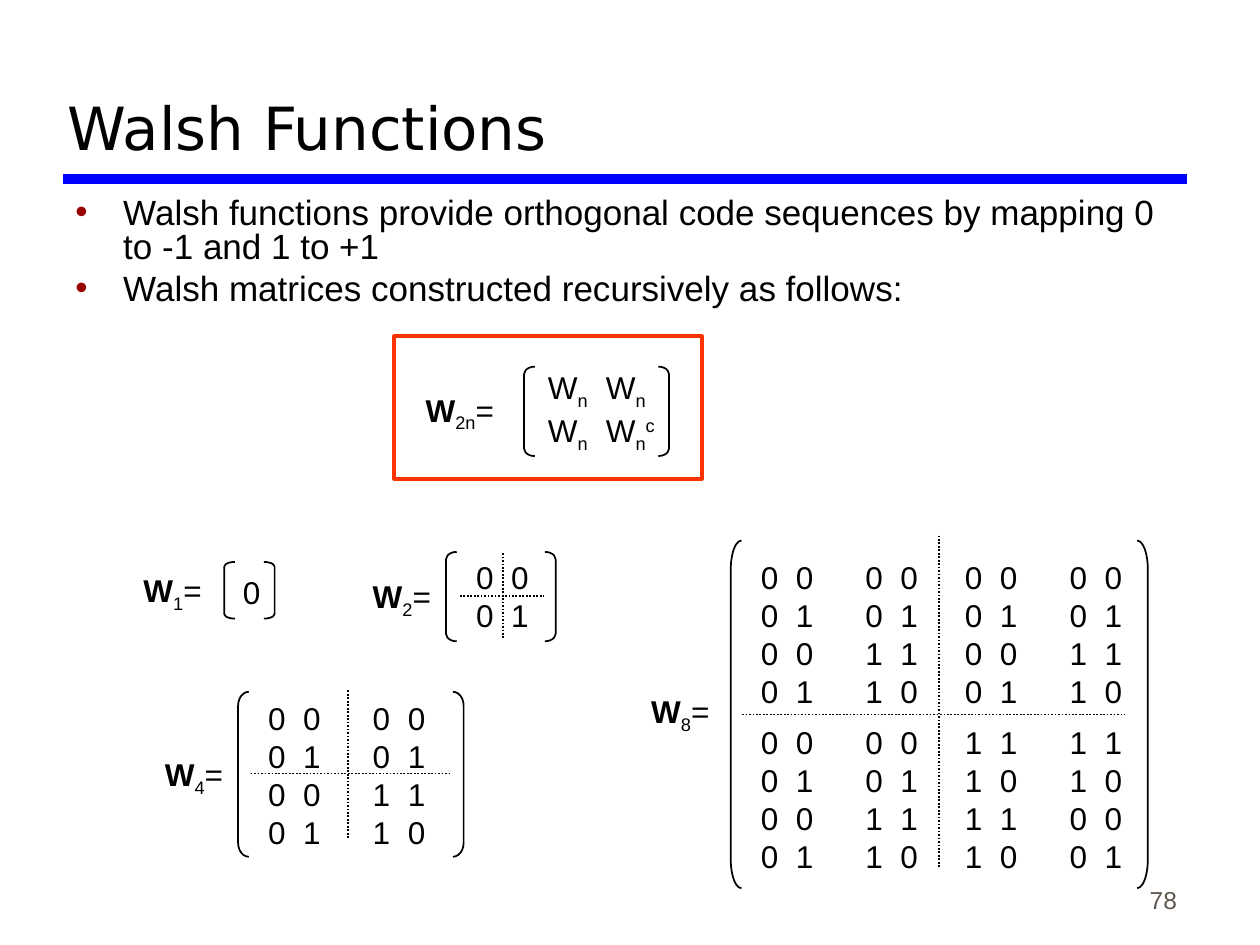
from dataclasses import dataclass
from typing import Any, NamedTuple

from lxml.etree import SubElement as Sub
from pptx import Presentation
from pptx.dml.color import RGBColor as RGB
from pptx.enum.dml import MSO_LINE as Dash
from pptx.enum.shapes import MSO_CONNECTOR as Conn, MSO_SHAPE as Kind
from pptx.enum.text import MSO_ANCHOR as Anchor, PP_ALIGN as Align
from pptx.oxml.ns import qn
from pptx.util import Inches, Pt


@dataclass(frozen=True)
class Theme:
    ink: str = "000000"
    rule: str = "0000FF"
    frame: str = "FF3300"
    dot: str = "990000"
    page: str = "5E574E"
    font: str = "Arial"
    head: str = "DejaVu Sans"
    title: int = 34
    body: int = 20
    math: int = 18
    foot: int = 14


class Box(NamedTuple):
    """Place on a grid of 100 columns by 75 rows."""
    x: float
    y: float
    w: float
    h: float


class Span(NamedTuple):
    text: str
    base: int = 0
    bold: bool = False


class Cross(NamedTuple):
    """Dotted lines that part a matrix into quarters."""
    x: float
    top: float
    end: float
    y: float
    left: float
    right: float


@dataclass(frozen=True)
class Matrix:
    size: int
    label: tuple[float, float]
    bracket: Box
    cells: tuple[float, float]
    cross: Cross | None = None


T = Theme()
Line = list[Span]
deck = Presentation()
deck.slide_width, deck.slide_height = Inches(10), Inches(7.5)
COL, ROW = deck.slide_width / 100, deck.slide_height / 75
slide = deck.slides.add_slide(deck.slide_layouts[6])
shapes = slide.shapes


def put(obj: Any, vals: dict[str, Any]) -> None:
    for key, val in vals.items():
        setattr(obj, key, val)


def emu(box: Box) -> tuple[int, ...]:
    return tuple(round(v * s) for v, s in zip(box, (COL, ROW, COL, ROW)))


def text(box: Box, lines: list[Line], size: int = T.math, font: str = T.font,
         color: str = T.ink, align: Align = Align.LEFT,
         anchor: Anchor = Anchor.MIDDLE, wrap: bool = True,
         tab: float = 0, bullet: bool = False) -> None:
    frame = shapes.add_textbox(*emu(box)).text_frame
    put(frame, {"word_wrap": wrap, "vertical_anchor": anchor})
    if tab:
        frame.margin_right = 0
    for i, line in enumerate(lines):
        para = frame.paragraphs[0] if i == 0 else frame.add_paragraph()
        para.alignment = align
        props = para._p.get_or_add_pPr()
        if bullet:
            put(para, {"line_spacing": 0.8, "space_before": Pt(5 if i else 0)})
            put_bullet(props)
        if tab:
            tabs = Sub(props, qn("a:tabLst"))
            Sub(tabs, qn("a:tab"), pos=str(round(tab * COL)), algn="l")
        for span in line:
            run = para.add_run()
            run.text = span.text
            put(run.font, {"size": Pt(size), "name": font, "bold": span.bold})
            run.font.color.rgb = RGB.from_string(color)
            if span.base:
                run._r.get_or_add_rPr().set("baseline", str(span.base * 1000))


def put_bullet(props: Any) -> None:
    indent = round(3.8 * COL)
    props.set("marL", str(indent))
    props.set("indent", str(-indent))
    Sub(Sub(props, qn("a:buClr")), qn("a:srgbClr"), val=T.dot)
    Sub(props, qn("a:buFont"), typeface=T.font)
    Sub(props, qn("a:buChar"), char="•")


def stroke(line: Any, color: str, width: float) -> None:
    line.color.rgb = RGB.from_string(color)
    line.width = Pt(width)


def rule(x: float, y: float, to_x: float, to_y: float, color: str = T.ink,
         width: float = 1, dash: Dash | None = Dash.ROUND_DOT) -> None:
    start, end = emu(Box(x, y, 0, 0)), emu(Box(to_x, to_y, 0, 0))
    link = shapes.add_connector(Conn.STRAIGHT, *start[:2], *end[:2])
    stroke(link.line, color, width)
    link.line.dash_style = dash
    Sub(link._element.spPr, qn("a:effectLst"))


def outline(kind: Kind, box: Box, color: str, width: float) -> Any:
    shape = shapes.add_shape(kind, *emu(box))
    shape.shadow.inherit = False
    shape.fill.background()
    stroke(shape.line, color, width)
    return shape


def brackets(box: Box, lip: float = 0.85) -> None:
    sides = ((Kind.LEFT_BRACKET, box.x),
             (Kind.RIGHT_BRACKET, box.x + box.w - lip))
    for kind, x in sides:
        shape = outline(kind, Box(x, box.y, lip, box.h), T.ink, 1)
        shape.adjustments[0] = box.h / lip / 12


def label(x: float, y: float, sub: str, w: float = 6.6) -> None:
    line = [Span("W", bold=True), Span(sub, -25), Span("=")]
    text(Box(x, y, w, 4.4), [line], align=Align.CENTER, wrap=False)


def walsh(n: int) -> list[list[int]]:
    if n == 1:
        return [[0]]
    half = walsh(n // 2)
    return [r + r for r in half] + [r + [1 - v for v in r] for r in half]


def shift(i: int, step: float, half: float) -> float:
    return i % 2 * step + i // 2 * half


def draw(m: Matrix) -> None:
    label(*m.label, str(m.size))
    brackets(m.bracket)
    grid, (x, y) = walsh(m.size), m.cells
    tall = 7 if m.size > 1 else 4
    # Digits go in blocks of two by two
    for r in range(0, m.size, 2):
        for c in range(0, m.size, 2):
            rows = [[Span("\t".join(map(str, row[c:c + 2])))]
                    for row in grid[r:r + 2]]
            text(Box(x + shift(c // 2, 8.3, 16.2),
                     y + shift(r // 2, 6.05, 13.1), 6.1, tall), rows, tab=2.78)
    if m.cross:
        k = m.cross
        rule(k.x, k.top, k.x, k.end)
        rule(k.left, k.y, k.right, k.y)


MATRICES = [
    Matrix(1, (10.4, 44.8), Box(17.8, 44.6, 4, 4.5), (18.3, 45)),
    Matrix(2, (28.6, 45.3), Box(35.4, 43.8, 8.7, 7.1), (36.8, 43.8),
           Cross(39.9, 43.9, 50.7, 47.3, 36.5, 43.2)),
    Matrix(4, (12.1, 59.4), Box(18.9, 54.9, 17.9, 13.1), (20.3, 55),
           Cross(27.6, 54.8, 66.6, 61.4, 19.9, 35.7)),
    Matrix(8, (50.7, 54.4), Box(58, 42.9, 33.1, 27.6), (59.4, 43.8),
           Cross(74.5, 42.5, 68.9, 56.7, 58.9, 89.3)),
]
POINTS = [
    "Walsh functions provide orthogonal code sequences by mapping 0 to -1 and 1 to +1",
    "Walsh matrices constructed recursively as follows:",
]


def main() -> None:
    # Heading, rule and page number
    rule(5, 14.2, 94.2, 14.2, T.rule, 6, None)
    text(Box(73.6, 68.1, 20.8, 5), [[Span("78")]], T.foot, color=T.page,
         align=Align.RIGHT, anchor=Anchor.BOTTOM)
    text(Box(4.4, 1.7, 89.7, 11.7), [[Span("Walsh Functions")]], T.title,
         T.head, anchor=Anchor.BOTTOM)
    # Bullets
    text(Box(5, 15.3, 89.4, 11), [[Span(p)] for p in POINTS], T.body,
         anchor=Anchor.TOP, bullet=True)
    # Worked matrices
    for m in MATRICES:
        draw(m)
    # Recursion rule
    label(32.8, 30.5, "2n", 7.4)
    brackets(Box(41.6, 29.1, 11.5, 7.1))
    pair = [Span("W"), Span("n", -25), Span("\tW"), Span("n", -25)]
    text(Box(42.5, 28.7, 13.2, 7.8), [pair, pair + [Span("c", 30)]], tab=4.6)
    outline(Kind.RECTANGLE, Box(31.3, 26.7, 24.4, 11.3), T.frame, 2.25)
    deck.save("out.pptx")


if __name__ == "__main__":
    main()
